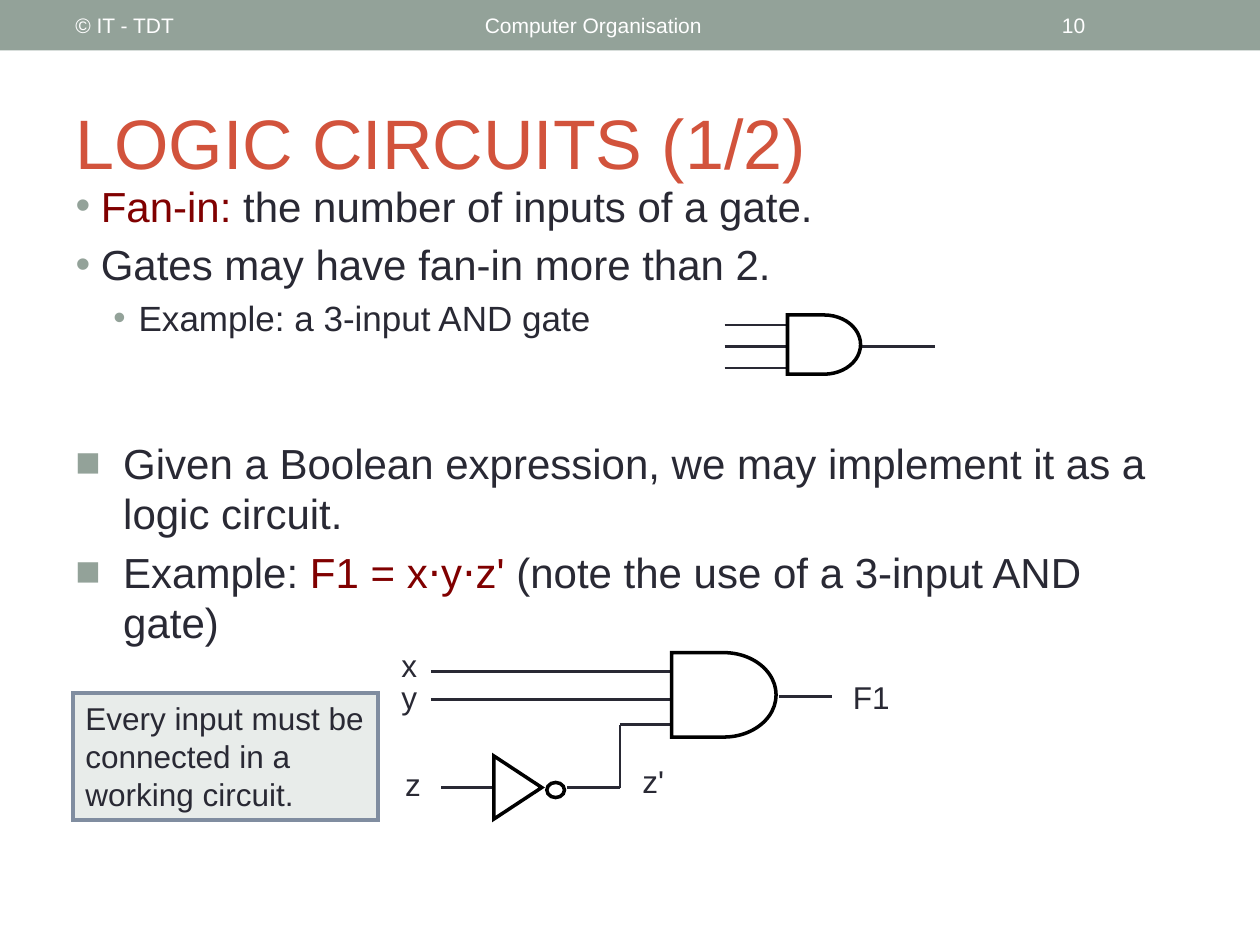
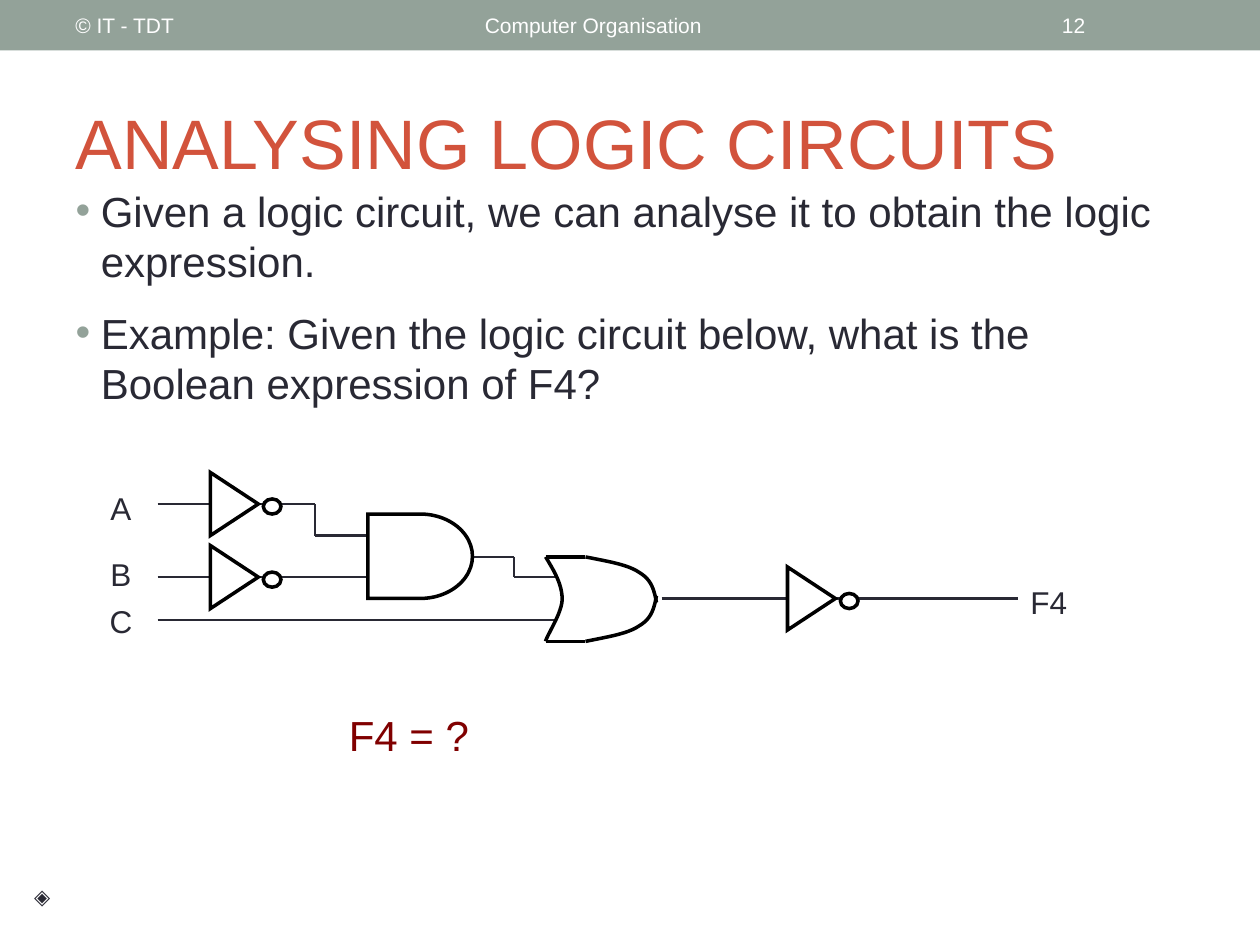
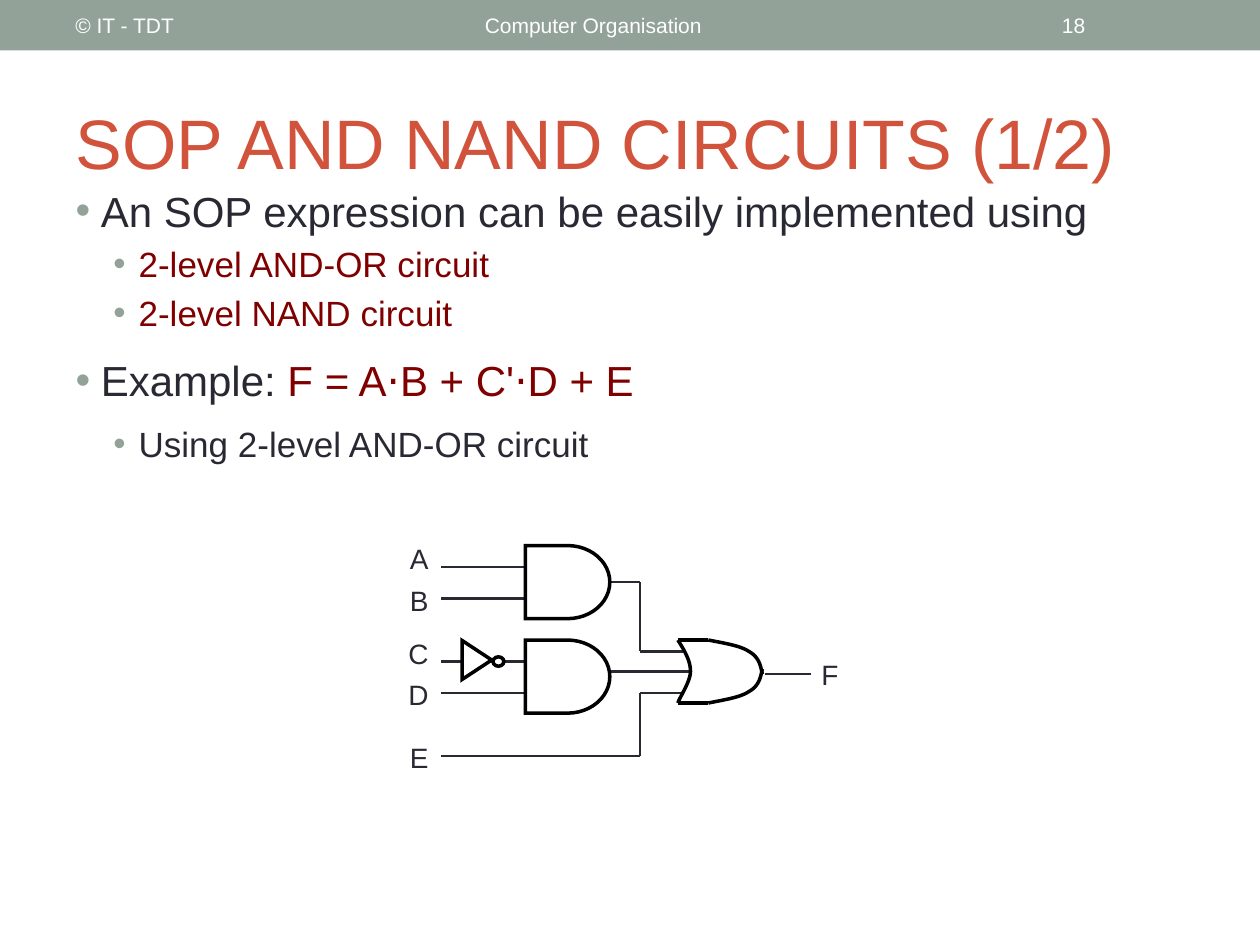
"""Builds three lecture slides on logic circuits."""
from dataclasses import dataclass
from itertools import pairwise

from lxml.etree import SubElement
from pptx import Presentation
from pptx.dml.color import RGBColor
from pptx.enum.shapes import MSO_CONNECTOR as Connector, MSO_SHAPE as Preset
from pptx.enum.text import MSO_ANCHOR as Anchor, MSO_AUTO_SIZE as AutoSize, PP_ALIGN as Align
from pptx.oxml.ns import qn
from pptx.util import Inches, Pt

FONT = "Arial"
SAGE, RUST, INK, MAROON = "93A299", "D2533C", "292934", "800000"
BLACK, WHITE, PALE, SLATE = "000000", "FFFFFF", "E8ECEA", "808DA0"

OR_BACK = [(0, 0), (0.08, 0.17), (0.15, 0.33), (0.15, 0.5), (0.15, 0.66), (0.02, 0.91), (0, 1)]
OR_NOSE = [(0.36, 0), (0.55, 0.05), (0.74, 0.09), (0.84, 0.18), (0.96, 0.27), (0.98, 0.4), (1, 0.54)]

Point = tuple[float, float]
Box = tuple[float, float, float, float]


@dataclass
class Line:
    """One paragraph: runs of (text, colour) and their layout."""
    runs: list[tuple[str, str]]
    size: float = 24
    before: float = 0
    align: Align = Align.LEFT
    bullet: str = ""
    margin: float = 0.0
    hanging: float = 0.0
    level: int = 0


@dataclass
class Label:
    """A short text beside a wire."""
    text: str
    left: float
    top: float
    width: float
    align: Align = Align.LEFT


@dataclass
class AndGate:
    """A D-shaped gate."""
    left: float
    top: float
    width: float
    height: float


@dataclass
class OrGate:
    """A gate with a curved back and a pointed nose."""
    left: float
    top: float
    width: float
    height: float


@dataclass
class Inverter:
    """A triangle pointing right with a bubble at its tip."""
    left: float
    top: float
    scale: float = 1.0
    gap: float = 0.04
    fill: str | None = WHITE


def colour(value: str) -> RGBColor:
    """Turn a hex string into a colour."""
    return RGBColor.from_string(value)


def lengths(box: Box) -> list[Inches]:
    """Turn numbers into lengths in inches."""
    return [Inches(number) for number in box]


def point(text: str, **options) -> Line:
    """Make a first-level bullet in ink."""
    return points([(text, INK)], **options)


def points(runs: list[tuple[str, str]], before: float = 4.8, bullet: str = "•", margin: float = 0.2) -> Line:
    """Make a first-level bullet of several runs."""
    return Line(runs, before=before, bullet=bullet, margin=margin, hanging=margin)


def subpoint(text: str, ink: str = INK, before: float = 4) -> Line:
    """Make a second-level bullet."""
    return Line([(text, ink)], 20, before, bullet="•", margin=0.5, hanging=0.2, level=1)


def write(frame, lines: list[Line], anchor: Anchor = Anchor.TOP, grow: bool = False,
          inset: Point = (0.1, 0.05)) -> None:
    """Fill a text frame with formatted paragraphs."""
    frame.word_wrap = True
    frame.auto_size = AutoSize.SHAPE_TO_FIT_TEXT if grow else AutoSize.NONE
    frame.vertical_anchor = anchor
    frame.margin_left = frame.margin_right = Inches(inset[0])
    frame.margin_top = frame.margin_bottom = Inches(inset[1])
    for index, line in enumerate(lines):
        paragraph = frame.add_paragraph() if index else frame.paragraphs[0]
        paragraph.level = line.level
        paragraph.alignment = line.align
        paragraph.space_before = Pt(line.before)
        for text, ink in line.runs:
            run = paragraph.add_run()
            run.text = text
            run.font.name = FONT
            run.font.size = Pt(line.size)
            run.font.color.rgb = colour(ink)
        if line.bullet:
            set_bullet(paragraph, line)


def set_bullet(paragraph, line: Line) -> None:
    """Give a paragraph its bullet and hanging indent."""
    properties = paragraph._p.get_or_add_pPr()
    properties.set("marL", str(Inches(line.margin)))
    properties.set("indent", str(-Inches(line.hanging)))
    SubElement(SubElement(properties, qn("a:buClr")), qn("a:srgbClr"), val=SAGE)
    SubElement(properties, qn("a:buFont"), typeface=FONT)
    SubElement(properties, qn("a:buChar"), char=line.bullet)


def add_text(slide, box: Box, lines: list[Line], **options) -> None:
    """Add a text box."""
    write(slide.shapes.add_textbox(*lengths(box)).text_frame, lines, **options)


def style(shape, fill: str | None = None, line: str | None = BLACK, width: float = 2) -> None:
    """Set fill and outline and remove the shadow."""
    shape.shadow.inherit = False
    if fill:
        shape.fill.solid()
        shape.fill.fore_color.rgb = colour(fill)
    else:
        shape.fill.background()
    if line:
        shape.line.color.rgb = colour(line)
        shape.line.width = Pt(width)
        SubElement(shape._element.spPr.find(qn("a:ln")), qn("a:miter"), lim="800000")
    else:
        shape.line.fill.background()


def add_preset(slide, preset: Preset, box: Box, **options):
    """Add a styled preset shape."""
    shape = slide.shapes.add_shape(preset, *lengths(box))
    style(shape, **options)
    return shape


def add_wire(slide, corners: list[Point], ink: str = INK, width: float = 1.5) -> None:
    """Join the corners with straight connectors."""
    for start, end in pairwise(corners):
        ends = [Inches(number) for number in (*start, *end)]
        connector = slide.shapes.add_connector(Connector.STRAIGHT, *ends)
        connector.line.color.rgb = colour(ink)
        connector.line.width = Pt(width)
        SubElement(connector._element.spPr, qn("a:effectLst"))


def bezier(controls: list[Point], steps: int = 12) -> list[Point]:
    """Sample a chain of cubic curves."""
    samples = [controls[0]]
    for first in range(0, len(controls) - 1, 3):
        segment = controls[first:first + 4]
        for step in range(1, steps + 1):
            t = step / steps
            weights = ((1 - t) ** 3, 3 * t * (1 - t) ** 2, 3 * t * t * (1 - t), t ** 3)
            samples.append(tuple(sum(weight * control[axis] for weight, control in zip(weights, segment))
                                 for axis in (0, 1)))
    return samples


def add_curve(slide, controls: list[Point]) -> None:
    """Draw an open curve through sampled points."""
    samples = [(Inches(x), Inches(y)) for x, y in bezier(controls)]
    builder = slide.shapes.build_freeform(*samples[0])
    builder.add_line_segments(samples[1:], close=False)
    style(builder.convert_to_shape())


def draw_and(slide, gate: AndGate) -> None:
    """Draw an AND gate."""
    add_preset(slide, Preset.FLOWCHART_DELAY, (gate.left, gate.top, gate.width, gate.height))


def draw_or(slide, gate: OrGate) -> None:
    """Draw an OR gate from curves and two straight edges."""
    def place(controls: list[Point], flip: bool = False) -> list[Point]:
        """Scale unit points to the gate."""
        return [(gate.left + x * gate.width, gate.top + (1 - y if flip else y) * gate.height)
                for x, y in controls]

    add_curve(slide, place(OR_BACK))
    for flip in (False, True):
        add_wire(slide, place([(0, 0), OR_NOSE[0]], flip), BLACK, 2)
        add_curve(slide, place(OR_NOSE, flip))


def draw_inverter(slide, gate: Inverter) -> None:
    """Draw a NOT gate."""
    width, height = 0.5 * gate.scale, 0.38 * gate.scale
    triangle = add_preset(slide, Preset.FLOWCHART_MERGE, (gate.left, gate.top, width, height), fill=gate.fill)
    triangle.rotation = 270
    tip = gate.left + (width + height) / 2
    bubble = (tip + gate.gap, gate.top + 0.15 * gate.scale, 0.14 * gate.scale, 0.12 * gate.scale)
    add_preset(slide, Preset.OVAL, bubble, fill=gate.fill)


DRAW = {AndGate: draw_and, OrGate: draw_or, Inverter: draw_inverter}


def draw_circuit(slide, wires: list[list[Point]], gates: list, labels: list[Label], size: float = 18) -> None:
    """Draw wires, then gates, then labels."""
    for corners in wires:
        add_wire(slide, corners)
    for gate in gates:
        DRAW[type(gate)](slide, gate)
    for label in labels:
        box = (label.left, label.top, label.width, 0.1 + size / 60)
        add_text(slide, box, [Line([(label.text, INK)], size, align=label.align)], grow=True)


def start_slide(presentation, number: int, title: str, body_box: Box, body: list[Line]):
    """Add a slide with band, header texts, title and list."""
    slide = presentation.slides.add_slide(presentation.slide_layouts[1])
    add_preset(slide, Preset.RECTANGLE, (0, 0, 10, 0.4), fill=SAGE, line=None)
    for text, left, width in (("© IT - TDT", 0.5, 3.17), ("Computer Organisation", 3.75, 4.5),
                              (str(number), 8.33, 1.17)):
        add_text(slide, (left, 0.02, width, 0.36), [Line([(text, WHITE)], 12)], anchor=Anchor.MIDDLE)
    heading, content = slide.placeholders
    for shape, box in ((heading, (0.5, 0.58, 9, 1.08)), (content, body_box)):
        shape.left, shape.top, shape.width, shape.height = lengths(box)
    write(heading.text_frame, [Line([(title, RUST)], 40)], anchor=Anchor.MIDDLE)
    write(content.text_frame, body)
    return slide


def build_logic_circuits(presentation) -> None:
    """Build the slide on fan-in and implementing an expression."""
    slide = start_slide(presentation, 10, "LOGIC CIRCUITS (1/2)", (0.5, 1.38, 9, 1.54), [
        points([("Fan-in:", MAROON), (" the number of inputs of a gate.", INK)], before=0),
        point("Gates may have fan-in more than 2."),
        subpoint("Example: a 3-input AND gate"),
    ])
    add_text(slide, (0.5, 3.42, 9, 2.29), [
        point("Given a Boolean expression, we may implement it as a logic circuit.",
              before=0, bullet="■", margin=0.38),
        points([("Example: ", INK), ("F1 = x⋅y⋅z'", MAROON),
                (" (note the use of a 3-input AND gate)", INK)], bullet="■", margin=0.38),
    ])
    fan_in = [[(5.75, y), (6.25, y)] for y in (2.58, 2.75, 2.92)]
    draw_circuit(slide, [*fan_in, [(6.83, 2.75), (7.42, 2.75)]], [AndGate(6.25, 2.5, 0.58, 0.47)], [])
    draw_circuit(slide, [
        [(3.42, 5.33), (5.33, 5.33)],
        [(3.42, 5.55), (5.33, 5.55)],
        [(3.5, 6.25), (3.92, 6.25)],
        [(4.5, 6.25), (4.92, 6.25), (4.92, 5.75), (5.33, 5.75)],
        [(6.18, 5.53), (6.6, 5.53)],
    ], [AndGate(5.33, 5.18, 0.83, 0.67), Inverter(3.86, 6.06, fill=None)], [
        Label("x", 3.08, 5.08, 0.33, Align.RIGHT),
        Label("y", 3.08, 5.33, 0.33, Align.RIGHT),
        Label("z", 3.11, 6.02, 0.33, Align.RIGHT),
        Label("F1", 6.67, 5.33, 0.58),
        Label("z'", 5, 6, 0.42),
    ])
    callout = add_preset(slide, Preset.RECTANGLE, (0.58, 5.5, 2.42, 1.01), fill=PALE, line=SLATE, width=2.08)
    write(callout.text_frame,
          [Line([("Every input must be connected in a working circuit.", INK)], 18)], grow=True)


def build_analysis(presentation) -> None:
    """Build the slide on analysing a circuit."""
    slide = start_slide(presentation, 12, "ANALYSING LOGIC CIRCUITS", (0.5, 1.42, 9, 2), [
        point("Given a logic circuit, we can analyse it to obtain the logic expression.", before=0),
        point("Example: Given the logic circuit below, what is the Boolean expression of F4?", before=12),
    ])
    add_text(slide, (2.67, 5.58, 4.42, 0.5), [Line([("F4 = ?", MAROON)])], grow=True)
    draw_circuit(slide, [
        [(1.25, 4), (2.5, 4), (2.5, 4.25), (2.92, 4.25)],
        [(1.25, 4.58), (2.92, 4.58)],
        [(1.25, 4.92), (4.42, 4.92)],
        [(3.75, 4.42), (4.08, 4.42), (4.08, 4.58), (4.42, 4.58)],
        [(5.25, 4.75), (8.08, 4.75)],
    ], [
        AndGate(2.92, 4.08, 0.83, 0.67),
        OrGate(4.33, 4.42, 0.88, 0.67),
        Inverter(1.61, 3.81),
        Inverter(1.61, 4.39),
        Inverter(6.19, 4.56),
    ], [Label("F4", 8.08, 4.58, 0.58)])
    inputs = [Line([(name, INK)], 18, before, Align.CENTER)
              for name, before in (("A", 0), ("B", 16.2), ("C", 5.4))]
    add_text(slide, (0.75, 3.83, 0.42, 1.36), inputs, grow=True)
    add_text(slide, (0.17, 7, 0.33, 0.22), [Line([("◈", INK)], 12, align=Align.CENTER)],
             grow=True, inset=(0.01, 0.01))


def build_sop(presentation) -> None:
    """Build the slide on sum-of-products circuits."""
    slide = start_slide(presentation, 18, "SOP AND NAND CIRCUITS (1/2)", (0.5, 1.42, 9, 5.42), [
        point("An SOP expression can be easily implemented using", before=0),
        subpoint("2-level AND-OR circuit", MAROON),
        subpoint("2-level NAND circuit", MAROON),
        points([("Example:", INK), (" F = A⋅B + C'⋅D + E", MAROON)], before=12),
        subpoint("Using 2-level AND-OR circuit", before=10),
    ])
    inputs = [Label(name, 3.08, top, 0.42, Align.RIGHT)
              for name, top in zip("ABCDE", (4.25, 4.58, 5, 5.33, 5.83))]
    draw_circuit(slide, [
        *([(3.5, y), (4.17, y)] for y in (4.5, 4.75, 5.25, 5.5)),
        [(4.83, 4.62), (5.08, 4.62), (5.08, 5.17), (5.42, 5.17)],
        [(4.83, 5.33), (5.48, 5.33)],
        [(3.5, 6), (5.08, 6), (5.08, 5.5), (5.42, 5.5)],
        [(6.07, 5.35), (6.44, 5.35)],
    ], [
        AndGate(4.17, 4.33, 0.67, 0.58),
        AndGate(4.17, 5.08, 0.67, 0.58),
        OrGate(5.38, 5.08, 0.67, 0.5),
        Inverter(3.63, 5.12, 0.62, 0.01),
    ], [*inputs, Label("F", 6.42, 5.17, 0.48)], 16)


def main() -> None:
    """Build and save the presentation."""
    presentation = Presentation()
    presentation.slide_width, presentation.slide_height = Inches(10), Inches(7.5)
    for build in (build_logic_circuits, build_analysis, build_sop):
        build(presentation)
    presentation.save("out.pptx")


if __name__ == "__main__":
    main()
